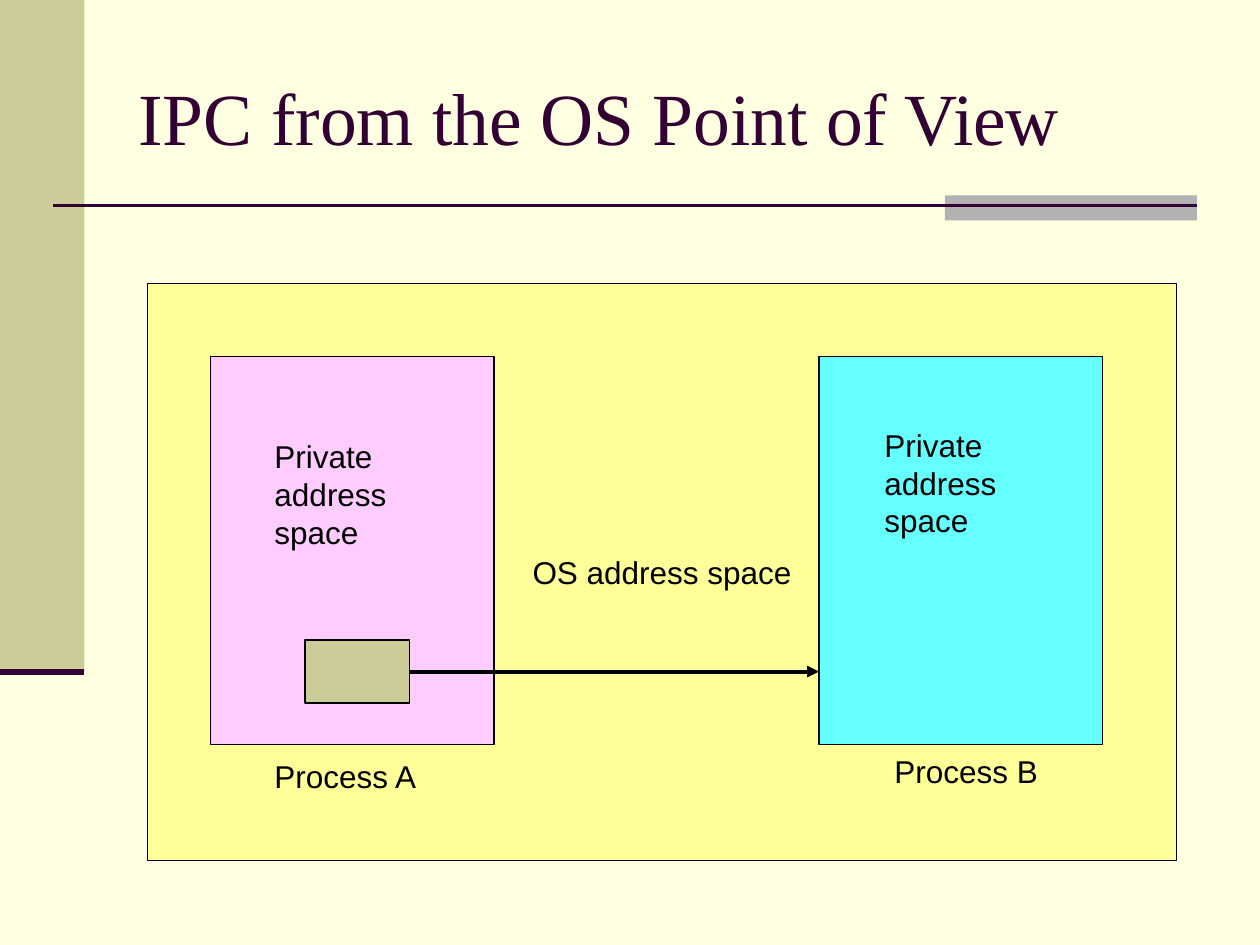
from lxml import etree
from pptx import Presentation
from pptx.dml.color import RGBColor
from pptx.enum import shapes, text
from pptx.oxml.ns import qn
from pptx.util import Inches, Pt


def paint(fill, tint):
    fill.solid()
    fill.fore_color.rgb = RGBColor.from_string(tint)


def write(shape, words, size=18, font="Arial", tint="000000", wrap=False,
          align=text.PP_ALIGN.LEFT, anchor=text.MSO_ANCHOR.TOP):
    frame = shape.text_frame
    frame.word_wrap = wrap
    frame.vertical_anchor = anchor
    para = frame.paragraphs[0]
    para.alignment = align
    run = para.add_run()
    run.text = words
    run.font.size = Pt(size)
    run.font.name = font
    paint(run.font.fill, tint)


deck = Presentation()
deck.slide_width = Inches(10)
deck.slide_height = Inches(7.5)
slide = deck.slides.add_slide(deck.slide_layouts[6])
paint(slide.background.fill, "FFFFE1")

rects = [
    (0, 0, 0.67, 5.33, "CCCC99", False, ""),
    (7.5, 1.55, 2, 0.2, "B2B2B2", False, ""),
    (1.17, 2.25, 8.17, 4.58, "FFFF99", True, "OS address space"),
    (1.67, 2.83, 2.25, 3.08, "FFCCFF", True, ""),
    (6.5, 2.83, 2.25, 3.08, "66FFFF", True, ""),
    (2.42, 5.08, 0.83, 0.5, "CCCC99", True, ""),
]
for x, y, w, h, tint, edge, words in rects:
    box = slide.shapes.add_shape(shapes.MSO_SHAPE.RECTANGLE,
                                 Inches(x), Inches(y), Inches(w), Inches(h))
    box.shadow.inherit = False
    paint(box.fill, tint)
    if edge:
        paint(box.line.fill, "000000")
        box.line.width = Pt(0.75)
    else:
        box.line.fill.background()
    if words:
        write(box, words, align=text.PP_ALIGN.CENTER, anchor=text.MSO_ANCHOR.MIDDLE)

lines = [
    (0.42, 1.63, 9.5, "330033", 1.5, False),
    (0, 5.33, 0.67, "330033", 3.5, False),
    (3.25, 5.33, 6.5, "000000", 2.25, True),
]
for start, y, end, tint, width, arrow in lines:
    line = slide.shapes.add_connector(shapes.MSO_CONNECTOR.STRAIGHT,
                                      Inches(start), Inches(y), Inches(end), Inches(y))
    paint(line.line.fill, tint)
    line.line.width = Pt(width)
    props = line._element.spPr
    if arrow:
        etree.SubElement(props.find(qn("a:ln")), qn("a:tailEnd"), type="triangle")
    etree.SubElement(props, qn("a:effectLst"))

title = dict(size=42, font="Times New Roman", tint="330033", wrap=True,
             anchor=text.MSO_ANCHOR.MIDDLE)
labels = [
    ("IPC from the OS Point of View", 1, 0.3, 8.5, 1.25, title),
    ("Process A", 2.08, 5.96, 1.34, 0.4, {}),
    ("Process B", 7, 5.92, 1.34, 0.4, {}),
    ("Private address space", 2.08, 3.42, 1.42, 1, dict(wrap=True)),
    ("Private address space", 6.92, 3.33, 1.42, 1, dict(wrap=True)),
]
for words, x, y, w, h, style in labels:
    label = slide.shapes.add_textbox(Inches(x), Inches(y), Inches(w), Inches(h))
    write(label, words, **style)

deck.save("out.pptx")
